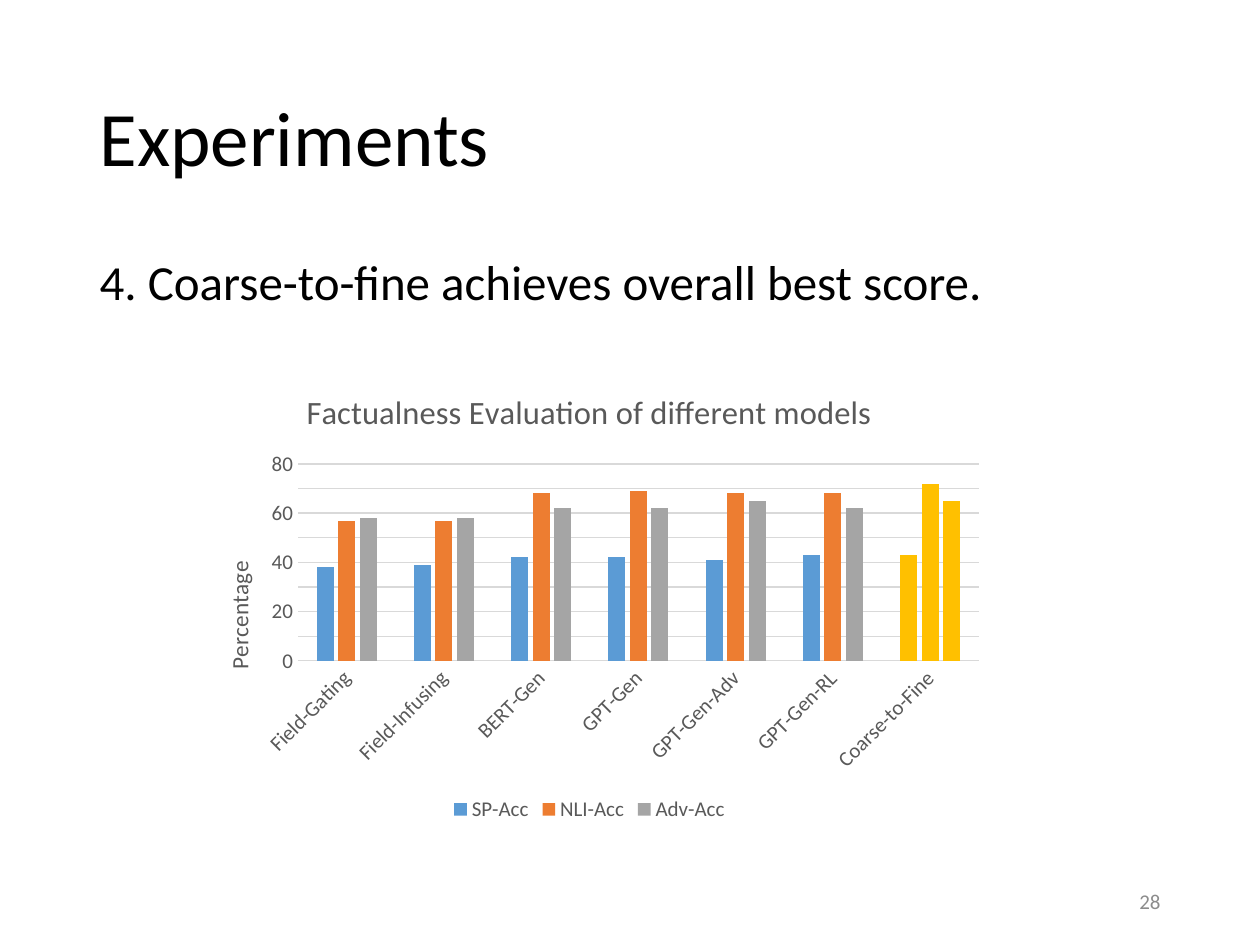
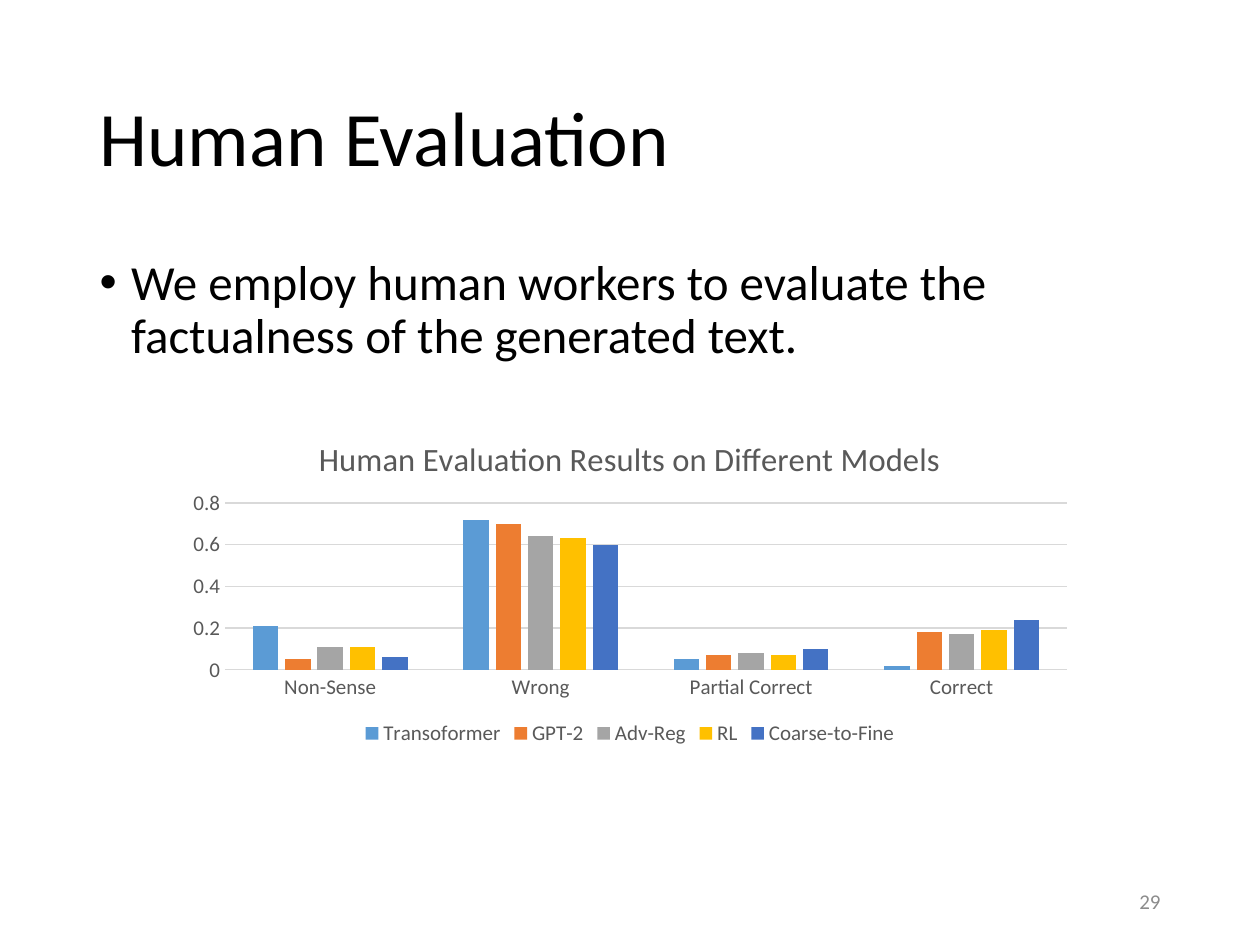
"""Build two slides with clustered column charts of model evaluation results."""
from dataclasses import dataclass

from lxml import etree
from pptx import Presentation
from pptx.chart.data import CategoryChartData
from pptx.dml.color import RGBColor
from pptx.enum.chart import XL_CHART_TYPE, XL_LEGEND_POSITION, XL_TICK_MARK
from pptx.enum.text import MSO_ANCHOR, MSO_AUTO_SIZE, PP_ALIGN
from pptx.oxml.ns import qn
from pptx.util import Emu, Pt


@dataclass(frozen=True)
class Theme:
    font: str = "Calibri"
    text: str = "000000"
    muted: str = "595959"
    number: str = "8C8C8C"
    grid: str = "D9D9D9"
    highlight: str = "FFC000"
    series: tuple = ("5B9BD5", "ED7D31", "A5A5A5", "FFC000", "4472C4")
    title_size: float = 44
    body_size: float = 28
    chart_title_size: float = 18.6
    axis_title_size: float = 13.3
    label_size: float = 12


THEME = Theme()
SCALE = 914400 / 126
TITLE_BOX = (87, 50, 1086, 183)
BODY_BOX = (87, 252, 1086, 600)
NUMBER_BOX = (890, 876, 283, 50)

SLIDES = [
    {
        "title": "Experiments",
        "body": "4. Coarse-to-fine achieves overall best score.",
        "bullet": False,
        "number": "28",
        "chart_title": "Factualness Evaluation of different models",
        "chart_box": (184, 367, 811, 460),
        "plot_box": (298, 464, 681, 197),
        "axis_title": "Percentage",
        "axis_title_at": (219, 557),
        "axis_scale": (80, 10),
        "label_rotation": -45,
        "highlighted": 6,
        "categories": ["Field-Gating", "Field-Infusing", "BERT-Gen", "GPT-Gen",
                       "GPT-Gen-Adv", "GPT-Gen-RL", "Coarse-to-Fine"],
        "series": {
            "SP-Acc": [38, 39, 42, 42, 41, 43, 43],
            "NLI-Acc": [57, 57, 68, 69, 68, 68, 72],
            "Adv-Acc": [58, 58, 62, 62, 65, 62, 65],
        },
    },
    {
        "title": "Human Evaluation",
        "body": "We employ human workers to evaluate the factualness of the generated text.",
        "bullet": True,
        "number": "29",
        "chart_title": "Human Evaluation Results on Different Models",
        "chart_box": (175, 417, 910, 334),
        "plot_box": (225, 503, 842, 167),
        "axis_title": None,
        "axis_scale": (0.8, 0.2),
        "label_rotation": 0,
        "highlighted": None,
        "categories": ["Non-Sense", "Wrong", "Partial Correct", "Correct"],
        "series": {
            "Transoformer": [0.21, 0.72, 0.05, 0.02],
            "GPT-2": [0.05, 0.7, 0.07, 0.18],
            "Adv-Reg": [0.11, 0.64, 0.08, 0.17],
            "RL": [0.11, 0.63, 0.07, 0.19],
            "Coarse-to-Fine": [0.06, 0.6, 0.1, 0.24],
        },
    },
]


def style_font(font, size, color):
    font.name = THEME.font
    font.size = Pt(size)
    font.bold = False
    font.color.rgb = RGBColor.from_string(color)


def place_in_chart(element, index, chart_box, box):
    for old_layout in element.findall(qn("c:layout")):
        element.remove(old_layout)
    layout = etree.Element(qn("c:layout"))
    element.insert(index, layout)
    manual = etree.SubElement(layout, qn("c:manualLayout"))
    left, top, width, height = chart_box
    settings = {"xMode": "edge", "yMode": "edge",
                "x": (box[0] - left) / width, "y": (box[1] - top) / height}
    if len(box) == 4:
        settings = {"layoutTarget": "inner", **settings,
                    "w": box[2] / width, "h": box[3] / height}
    for name, value in settings.items():
        etree.SubElement(manual, qn(f"c:{name}")).set("val", str(value))


presentation = Presentation()
presentation.slide_width = Emu(round(1260 * SCALE))
presentation.slide_height = Emu(round(945 * SCALE))

for content in SLIDES:
    slide = presentation.slides.add_slide(presentation.slide_layouts[1])
    number_shape = slide.shapes.add_textbox(0, 0, 0, 0)
    text_blocks = [
        (slide.shapes.title, TITLE_BOX, content["title"], THEME.title_size,
         THEME.text, MSO_ANCHOR.MIDDLE, PP_ALIGN.LEFT),
        (slide.placeholders[1], BODY_BOX, content["body"], THEME.body_size,
         THEME.text, MSO_ANCHOR.TOP, PP_ALIGN.LEFT),
        (number_shape, NUMBER_BOX, content["number"], THEME.label_size,
         THEME.number, MSO_ANCHOR.MIDDLE, PP_ALIGN.RIGHT),
    ]
    for shape, box, text, size, color, anchor, alignment in text_blocks:
        shape.left, shape.top, shape.width, shape.height = (
            Emu(round(length * SCALE)) for length in box)
        frame = shape.text_frame
        frame.text = text
        frame.word_wrap = True
        frame.auto_size = MSO_AUTO_SIZE.NONE
        frame.vertical_anchor = anchor
        paragraph = frame.paragraphs[0]
        paragraph.alignment = alignment
        style_font(paragraph.font, size, color)
        if shape is not number_shape:
            paragraph.line_spacing = 0.9

    paragraph = slide.placeholders[1].text_frame.paragraphs[0]
    paragraph.space_before = Pt(10)
    properties = paragraph._p.get_or_add_pPr()
    indent = Pt(18) if content["bullet"] else 0
    properties.set("marL", str(indent))
    properties.set("indent", str(-indent))
    bullet = etree.Element(qn("a:buChar" if content["bullet"] else "a:buNone"))
    if content["bullet"]:
        bullet.set("char", "•")
    properties.find(qn("a:spcBef")).addnext(bullet)

    data = CategoryChartData()
    data.categories = content["categories"]
    for name, values in content["series"].items():
        data.add_series(name, values)
    chart_box = content["chart_box"]
    chart = slide.shapes.add_chart(
        XL_CHART_TYPE.COLUMN_CLUSTERED,
        *(Emu(round(length * SCALE)) for length in chart_box), data).chart
    style_font(chart.font, THEME.label_size, THEME.muted)
    chart.has_title = True
    chart.chart_title.include_in_layout = False
    title_frame = chart.chart_title.text_frame
    title_frame.text = content["chart_title"]
    style_font(title_frame.paragraphs[0].font, THEME.chart_title_size, THEME.muted)
    chart.has_legend = True
    chart.legend.position = XL_LEGEND_POSITION.BOTTOM
    chart.legend.include_in_layout = False
    style_font(chart.legend.font, THEME.label_size, THEME.muted)

    plot = chart.plots[0]
    plot.gap_width = 219
    plot.overlap = -27
    plot.vary_by_categories = False
    for series, color in zip(plot.series, THEME.series):
        series.invert_if_negative = False
        series.format.fill.solid()
        series.format.fill.fore_color.rgb = RGBColor.from_string(color)
        if content["highlighted"] is not None:
            fill = series.points[content["highlighted"]].format.fill
            fill.solid()
            fill.fore_color.rgb = RGBColor.from_string(THEME.highlight)

    category_axis, value_axis = chart.category_axis, chart.value_axis
    for axis in (category_axis, value_axis):
        axis.major_tick_mark = XL_TICK_MARK.NONE
        axis.minor_tick_mark = XL_TICK_MARK.NONE
        style_font(axis.tick_labels.font, THEME.label_size, THEME.muted)
    rotation = content["label_rotation"] * 60000
    category_axis._element.find(qn("c:txPr")).find(qn("a:bodyPr")).set("rot", str(rotation))
    value_axis.minimum_scale = 0
    value_axis.maximum_scale, value_axis.major_unit = content["axis_scale"]
    value_axis.format.line.fill.background()
    value_axis.has_major_gridlines = True
    for line in (category_axis.format.line, value_axis.major_gridlines.format.line):
        line.color.rgb = RGBColor.from_string(THEME.grid)
        line.width = Pt(0.75)
    if content["axis_title"]:
        axis_title = value_axis.axis_title
        axis_title.text_frame.text = content["axis_title"]
        style_font(axis_title.text_frame.paragraphs[0].font, THEME.axis_title_size, THEME.muted)
        body_properties = axis_title.text_frame._txBody.find(qn("a:bodyPr"))
        body_properties.set("rot", "-5400000")
        body_properties.set("vert", "horz")
        place_in_chart(axis_title._element, 1, chart_box, content["axis_title_at"])
    plot_area = chart._chartSpace.find(qn("c:chart")).find(qn("c:plotArea"))
    place_in_chart(plot_area, 0, chart_box, content["plot_box"])

presentation.save("out.pptx")
